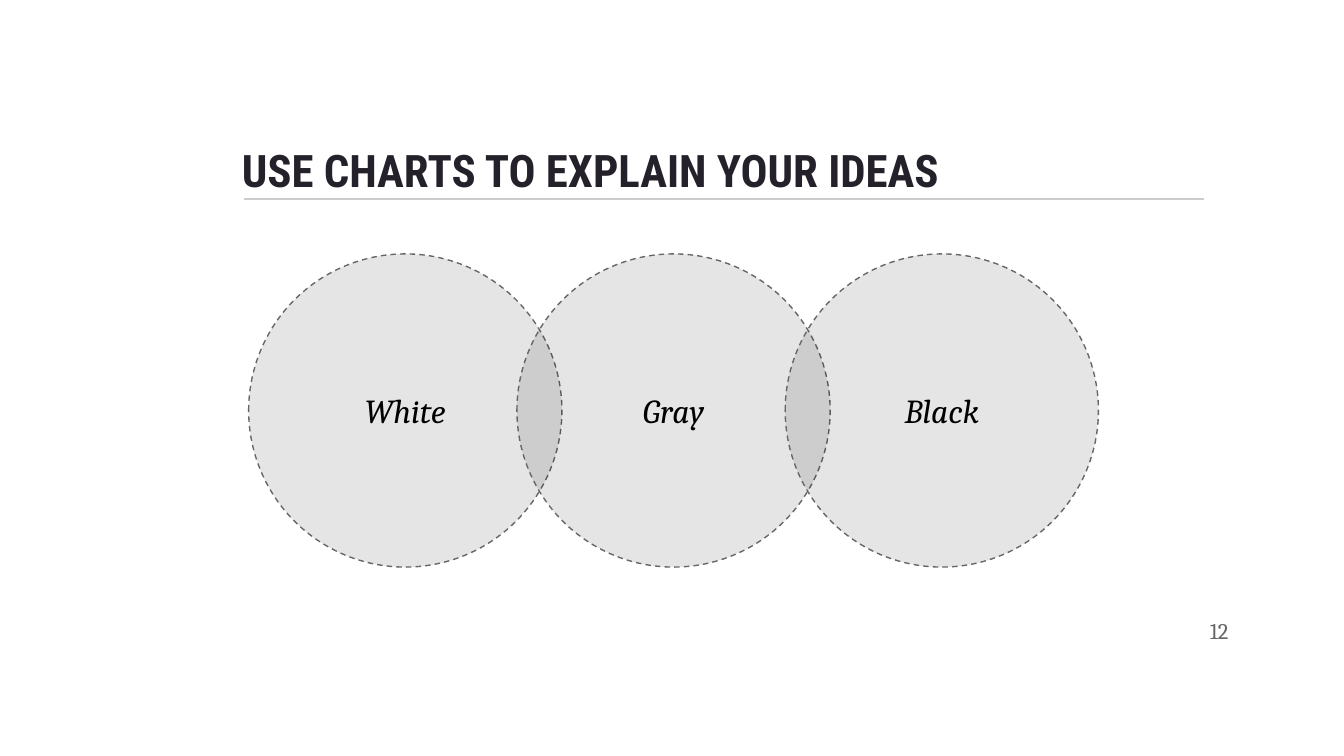
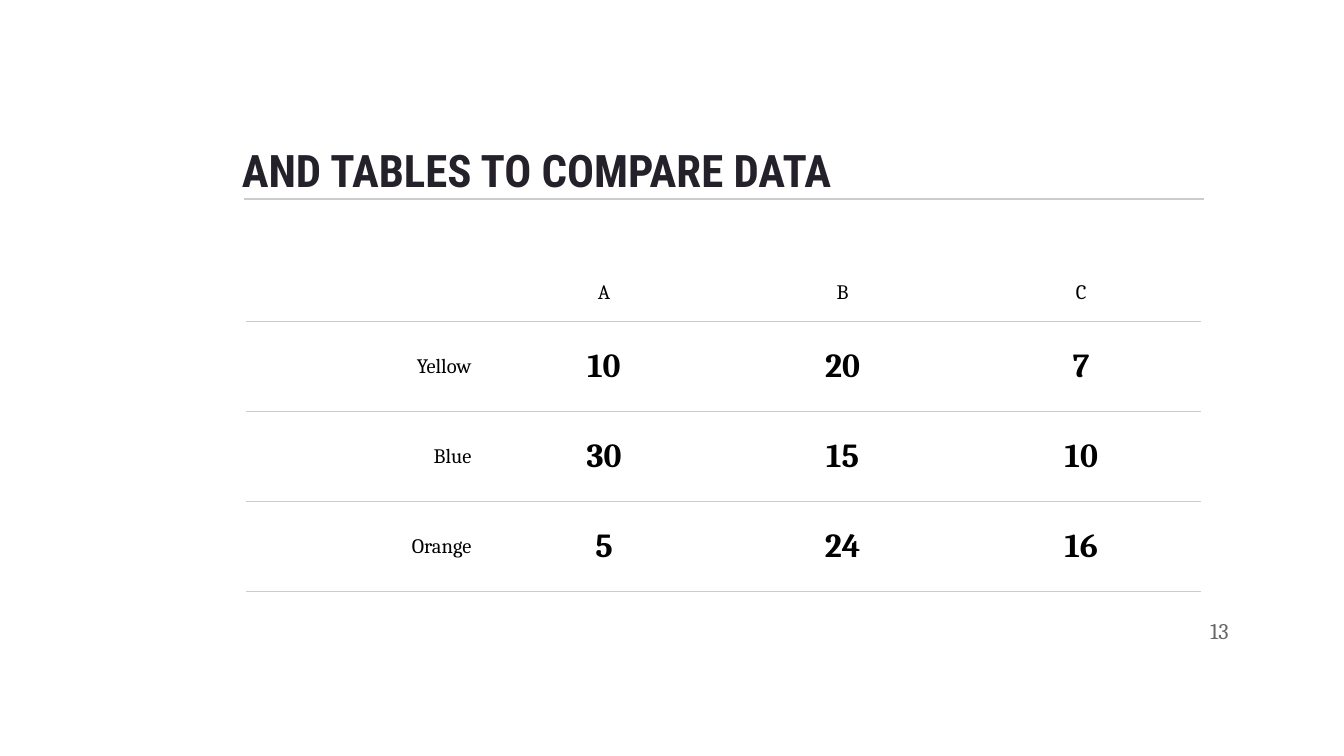
from pptx import Presentation
from pptx.dml.color import RGBColor
from pptx.enum.dml import MSO_LINE
from pptx.enum.shapes import MSO_CONNECTOR, MSO_SHAPE
from pptx.enum.text import MSO_ANCHOR as ANCHOR, MSO_AUTO_SIZE, PP_ALIGN as ALIGN
from pptx.oxml.ns import qn
from pptx.util import Cm, Pt
from lxml.etree import SubElement

# Shared style
INK = RGBColor(0x25, 0x21, 0x2A)
BLACK = RGBColor(0x00, 0x00, 0x00)
GRAY = RGBColor(0x66, 0x66, 0x66)
RULE = RGBColor(0xCC, 0xCC, 0xCC)
TITLE_FONT = "Roboto Condensed"
BODY_FONT = "Cambria"
THIN = Pt(0.75)
INSET = Cm(0.25)
TITLE_ONLY = 5


def set_frame(frame, anchor):
    frame.word_wrap = True
    frame.auto_size = MSO_AUTO_SIZE.NONE
    frame.vertical_anchor = anchor
    frame.margin_left = frame.margin_right = INSET
    frame.margin_top = frame.margin_bottom = INSET


def write(frame, text, size, color=BLACK, align=ALIGN.CENTER,
          font=BODY_FONT, bold=False, italic=False):
    para = frame.paragraphs[0]
    para.alignment = align
    span = para.add_run()
    span.text = text
    span.font.name = font
    span.font.size = Pt(size)
    span.font.color.rgb = color
    span.font.bold = bold
    span.font.italic = italic


def add_page(deck, title, number):
    """Add a page with its title, the rule below it and the page number."""
    page = deck.slides.add_slide(deck.slide_layouts[TITLE_ONLY])

    rule = page.shapes.add_connector(
        MSO_CONNECTOR.STRAIGHT, Cm(4.62), Cm(3.76), Cm(22.76), Cm(3.76))
    rule.line.color.rgb = RULE
    rule.line.width = THIN
    SubElement(rule.element.spPr, qn("a:effectLst"))

    heading = page.shapes.title
    heading.left, heading.top = Cm(4.32), Cm(2.01)
    heading.width, heading.height = Cm(18.39), Cm(1.96)
    set_frame(heading.text_frame, ANCHOR.BOTTOM)
    write(heading.text_frame, title, 24, INK, ALIGN.LEFT, TITLE_FONT, bold=True)

    box = page.shapes.add_textbox(Cm(21.95), Cm(11.38), Cm(1.52), Cm(1.09))
    set_frame(box.text_frame, ANCHOR.MIDDLE)
    write(box.text_frame, str(number), 12, GRAY, ALIGN.RIGHT)
    return page


def add_circle(page, left, label):
    circle = page.shapes.add_shape(
        MSO_SHAPE.OVAL, left, Cm(4.8), Cm(5.92), Cm(5.92))
    circle.shadow.inherit = False
    circle.fill.solid()
    circle.fill.fore_color.rgb = BLACK
    tint = circle.element.spPr.find(qn("a:solidFill"))[0]
    SubElement(tint, qn("a:alpha"), val="10000")
    circle.line.color.rgb = GRAY
    circle.line.width = THIN
    circle.line.dash_style = MSO_LINE.DASH
    set_frame(circle.text_frame, ANCHOR.MIDDLE)
    write(circle.text_frame, label, 18, italic=True)


def set_border(cell, side, visible):
    line = SubElement(cell._tc.get_or_add_tcPr(), qn(f"a:ln{side}"), w=str(THIN))
    if visible:
        fill = SubElement(line, qn("a:solidFill"))
        SubElement(fill, qn("a:srgbClr"), val=str(RULE))
    else:
        SubElement(line, qn("a:noFill"))


def add_data_table(page, rows):
    """Add a table with column heads, row labels and horizontal rules only."""
    columns = len(rows[0])
    header_height, row_height, column_width = Cm(1.08), Cm(1.7), Cm(4.51)
    table = page.shapes.add_table(
        len(rows), columns, Cm(4.65), Cm(5), column_width * columns,
        header_height + row_height * (len(rows) - 1)).table
    table.first_row = table.horz_banding = False
    for column in table.columns:
        column.width = column_width

    for r, values in enumerate(rows):
        table.rows[r].height = row_height if r else header_height
        for c, value in enumerate(values):
            cell = table.cell(r, c)
            for side, visible in (("L", False), ("R", False), ("T", r > 0), ("B", True)):
                set_border(cell, side, visible)
            cell.fill.background()
            cell.vertical_anchor = ANCHOR.MIDDLE
            cell.margin_left = cell.margin_right = INSET
            cell.margin_top = cell.margin_bottom = Cm(0.18) if value else 0
            if value:
                is_data = r > 0 and c > 0
                write(cell.text_frame, value, 18 if is_data else 11, bold=is_data,
                      align=ALIGN.CENTER if c else ALIGN.RIGHT)


def main():
    deck = Presentation()
    deck.slide_width, deck.slide_height = Cm(25.4), Cm(14.29)

    # Overlapping circles
    page = add_page(deck, "USE CHARTS TO EXPLAIN YOUR IDEAS", 12)
    for i, label in enumerate(("White", "Gray", "Black")):
        add_circle(page, Cm(4.7 + 5.07 * i), label)

    # Comparison table
    page = add_page(deck, "AND TABLES TO COMPARE DATA", 13)
    add_data_table(page, [
        ("", "A", "B", "C"),
        ("Yellow", "10", "20", "7"),
        ("Blue", "30", "15", "10"),
        ("Orange", "5", "24", "16"),
    ])

    deck.save("out.pptx")


if __name__ == "__main__":
    main()
